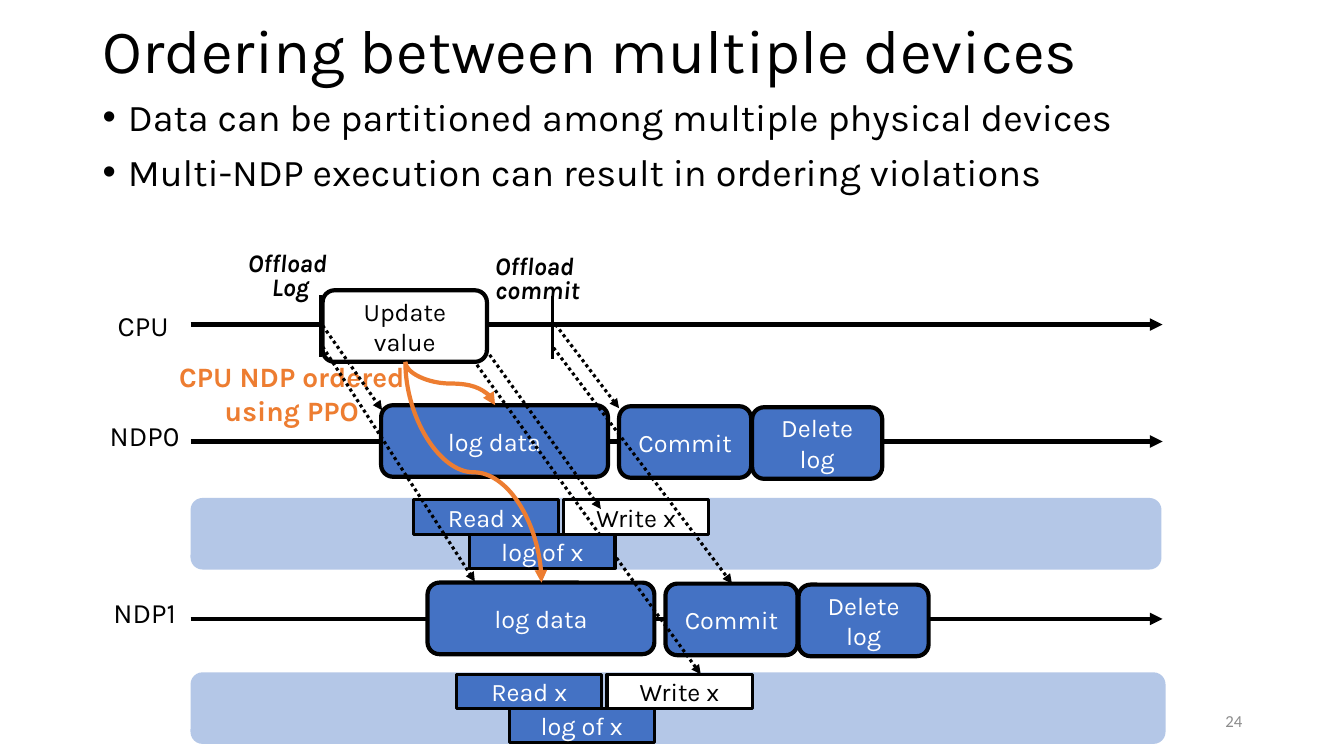
"""Build the slide on ordering between multiple devices."""
from lxml import etree
from pptx import Presentation
from pptx import util as u
from pptx.dml.color import RGBColor
from pptx.enum import dml, shapes, text
from pptx.oxml.ns import qn

PX = 9144
BLACK, WHITE, BLUE, PALE, ORANGE, GREY = "000000", "FFFFFF", "4472C4", "B4C7E7", "ED7D31", "8C8C8C"
CENTER, LEFT, RIGHT = text.PP_ALIGN.CENTER, text.PP_ALIGN.LEFT, text.PP_ALIGN.RIGHT
ROUNDED, RECTANGLE = shapes.MSO_SHAPE.ROUNDED_RECTANGLE, shapes.MSO_SHAPE.RECTANGLE

TITLE = "Ordering between multiple devices"
BULLETS = [
    "Data can be partitioned among multiple physical devices",
    "Multi-NDP execution can result in ordering violations",
]
AXIS_START, AXIS_END = 189, 1153
AXES = [322, 438, 614]
AXIS_LABELS = [("CPU", (98, 301, 88, 44)), ("NDP0", (76, 410, 135, 44)), ("NDP1", (76, 586, 135, 44))]
DEVICES = [
    {"log": (378, 402), "band": (494, 963), "read": 410, "log_of": 466},
    {"log": (424, 578), "band": (667, 967), "read": 453, "log_of": 505},
]
STAGES = [("log data", 0, 0, 225), ("Commit", 236, 1, 131), ("Delete log", 368, 2, 129)]
OFFLOADS = [(["Offload ", "Log"], (198, 257, 180, 36)), (["Offload ", "commit"], (443, 260, 180, 36))]
TICKS = [(318, 293, 318, 354), (548, 294, 548, 356)]
MESSAGES = [
    (320, 323, 379, 407), (551, 322, 614, 405), (320, 344, 471, 577),
    (549, 345, 726, 579), (482, 347, 596, 505), (473, 362, 695, 669),
]
ORDERINGS = [(402, 359, 491, 402), (402, 359, 537, 578)]

presentation = Presentation()
presentation.slide_width, presentation.slide_height = 1333 * PX, 750 * PX
slide = presentation.slides.add_slide(presentation.slide_layouts[5])


def color(value):
    return RGBColor.from_string(value)


def scaled(lengths):
    return [length * PX for length in lengths]


def write(shape, lines, size, ink, align=CENTER, anchor=text.MSO_ANCHOR.MIDDLE,
          name="Karla", bold=False, italic=False, spacing=None):
    frame = shape.text_frame
    frame.word_wrap = True
    frame.vertical_anchor = anchor
    frame.text = "\n".join(lines)
    for paragraph in frame.paragraphs:
        paragraph.alignment = align
        paragraph.line_spacing = spacing
        font = paragraph.font
        font.name, font.size, font.bold, font.italic = name, u.Pt(size), bold, italic
        font.color.rgb = color(ink)
    return frame


def textbox(box, lines, size, ink, **style):
    return write(slide.shapes.add_textbox(*scaled(box)), lines, size, ink, **style)


def block(kind, box, fill, width=0, label=None):
    shape = slide.shapes.add_shape(kind, *scaled(box))
    shape.shadow.inherit = False
    shape.fill.solid()
    shape.fill.fore_color.rgb = color(fill)
    if width:
        shape.line.color.rgb = color(BLACK)
        shape.line.width = u.Pt(width)
    else:
        shape.line.fill.background()
    if label:
        write(shape, [label], 18, WHITE if fill == BLUE else BLACK)


def connect(ends, width, ink=BLACK, arrow=True, dotted=False, kind=shapes.MSO_CONNECTOR.STRAIGHT):
    connector = slide.shapes.add_connector(kind, *scaled(ends))
    connector.line.color.rgb = color(ink)
    connector.line.width = u.Pt(width)
    if dotted:
        connector.line.dash_style = dml.MSO_LINE.ROUND_DOT
    if arrow:
        etree.SubElement(connector.line._get_or_add_ln(), qn("a:tailEnd"), type="triangle")
    properties = connector._element.spPr
    etree.SubElement(properties, qn("a:effectLst"))
    return properties


def curve_down(x1, y1, x2, y2):
    """Draw a curve that leaves and arrives vertically: a flipped one turned by 270 degrees."""
    middle_x, middle_y = (x1 + x2) / 2, (y1 + y2) / 2
    half_drop, half_run = (y2 - y1) / 2, (x2 - x1) / 2
    ends = (middle_x + half_drop, middle_y - half_run, middle_x - half_drop, middle_y + half_run)
    properties = connect([round(end) for end in ends], 3, ORANGE, kind=shapes.MSO_CONNECTOR.CURVE)
    properties.find(qn("a:xfrm")).set("rot", str(270 * 60000))


title = slide.shapes.title
title.left, title.top, title.width, title.height = scaled((92, -19, 1150, 145))
write(title, [TITLE], 44, BLACK, align=LEFT, spacing=0.9)

bullets = slide.shapes.add_textbox(*scaled((92, 93, 1150, 194)))
bullets.text_frame.text = "\n".join(BULLETS)
for paragraph in bullets.text_frame.paragraphs:
    paragraph.line_spacing = 0.9
    properties = paragraph._p.get_or_add_pPr()
    properties.set("marL", str(25 * PX))
    properties.set("indent", str(-25 * PX))
    etree.SubElement(properties, qn("a:buFont"), typeface="Arial")
    etree.SubElement(properties, qn("a:buChar"), char="•")
    paragraph.font.name, paragraph.font.size = "Karla", u.Pt(27)
    paragraph.font.color.rgb = color(BLACK)
bullets.text_frame.word_wrap = True
bullets.text_frame.paragraphs[1].space_before = u.Pt(10)

textbox((942, 695, 300, 40), ["24"], 12, GREY, align=RIGHT, name="Calibri")

for y in AXES:
    connect((AXIS_START, y, AXIS_END, y), 3)
for label, box in AXIS_LABELS:
    textbox(box, [label], 20, BLACK, anchor=text.MSO_ANCHOR.TOP)

block(ROUNDED, (320, 288, 163, 71), WHITE, 3, "Update value")
for device in DEVICES:
    log_x, log_y = device["log"]
    for label, dx, dy, width in STAGES:
        block(ROUNDED, (log_x + dx, log_y + dy, width, 71), BLUE, 3, label)
    band_y, band_width = device["band"]
    block(ROUNDED, (AXIS_START, band_y, band_width, 71), PALE)
    block(RECTANGLE, (device["read"], band_y + 2, 144, 34), BLUE, 2.25, "Read x")
    block(RECTANGLE, (device["read"] + 149, band_y + 2, 144, 34), WHITE, 2.25, "Write x")

for tick in TICKS:
    connect(tick, 2.25, arrow=False)
for lines, box in OFFLOADS:
    frame = textbox(box, lines, 18, BLACK, bold=True, italic=True, spacing=0.8)
    frame.margin_left = frame.margin_right = frame.margin_top = frame.margin_bottom = 0
textbox((158, 352, 263, 77), ["CPU NDP ordered using PPO"], 20, ORANGE,
        anchor=text.MSO_ANCHOR.TOP, bold=True)

for message in MESSAGES:
    connect(message, 2.25, dotted=True)
for device in DEVICES:
    block(RECTANGLE, (device["log_of"], device["band"][0] + 36, 144, 34), BLUE, 2.25, "log of x")
for ordering in ORDERINGS:
    curve_down(*ordering)

presentation.save("out.pptx")
